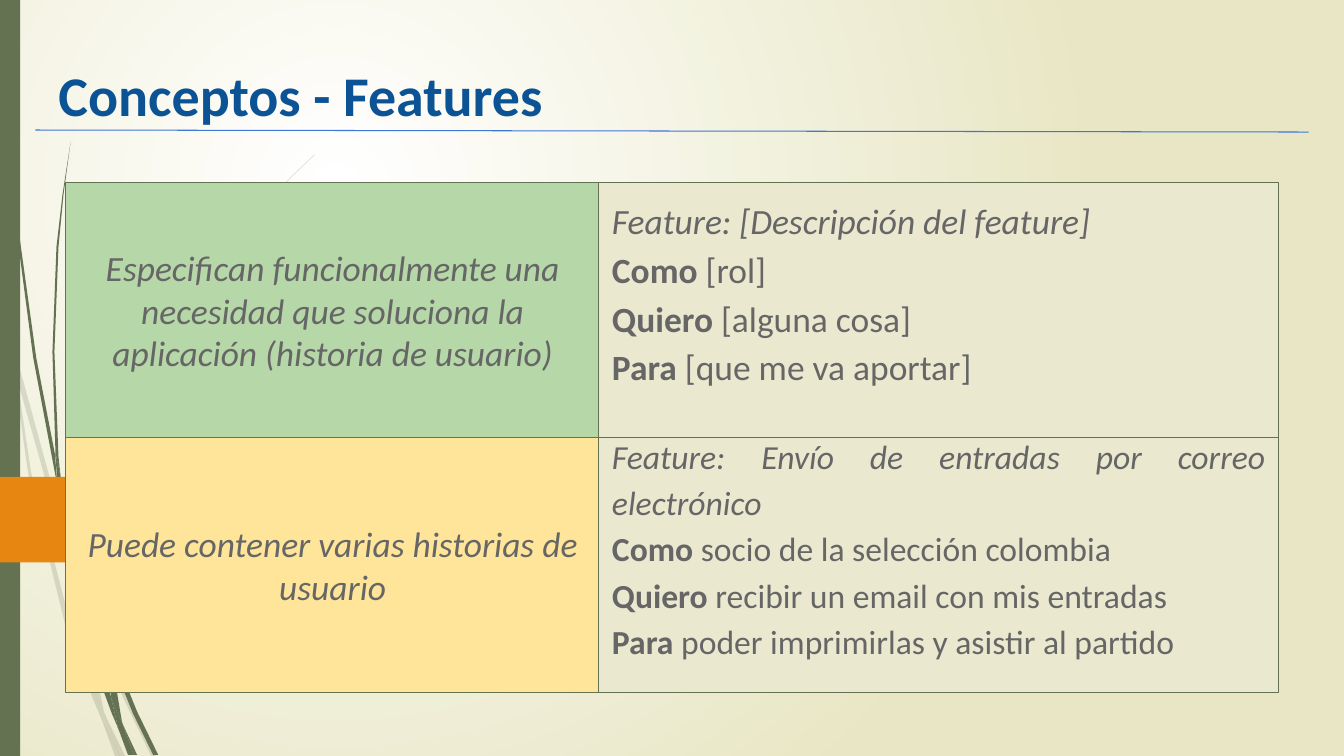
from dataclasses import dataclass

from lxml.etree import SubElement
from pptx import Presentation
from pptx.dml.color import RGBColor
from pptx.enum.shapes import MSO_CONNECTOR as Connector, MSO_SHAPE as Shape
from pptx.enum.text import MSO_ANCHOR as Anchor, MSO_AUTO_SIZE as AutoSize, PP_ALIGN as Align
from pptx.oxml.ns import qn
from pptx.util import Inches, Pt


@dataclass(frozen=True)
class Theme:
    font: str = "Calibri"
    olive: str = "647252"
    orange: str = "E78712"
    white: str = "FFFFFF"
    sand: str = "E8E6C4"
    beige: str = "EAE8CF"
    green: str = "B6D7A8"
    yellow: str = "FFE599"
    navy: str = "0B5394"
    blue: str = "3C78D8"
    gray: str = "666666"
    title_size: float = 40
    concept_size: float = 25.3
    example_size: float = 24
    line_width: float = 0.75


theme = Theme()


def paint(shape, color, line=None):
    shape.shadow.inherit = False
    shape.fill.solid()
    shape.fill.fore_color.rgb = RGBColor.from_string(color)
    if line:
        shape.line.color.rgb = RGBColor.from_string(line)
        shape.line.width = Pt(theme.line_width)
    else:
        shape.line.fill.background()


def set_font(paragraph, size, color):
    paragraph.font.name = theme.font
    paragraph.font.size = Pt(size)
    paragraph.font.color.rgb = RGBColor.from_string(color)


presentation = Presentation()
presentation.slide_width = Inches(13.33)
presentation.slide_height = Inches(7.5)
slide = presentation.slides.add_slide(presentation.slide_layouts[5])
shapes = slide.shapes

background = slide.background.fill
background.gradient()
for stop, position, color in zip(background.gradient_stops, (0, 1), (theme.white, theme.sand)):
    stop.position = position
    stop.color.rgb = RGBColor.from_string(color)
gradient = slide.element.find(".//" + qn("a:gradFill"))
gradient.remove(gradient.find(qn("a:lin")))
circle = SubElement(gradient, qn("a:path"), {"path": "circle"})
SubElement(circle, qn("a:fillToRect"), {"l": "50000", "t": "50000", "r": "100000", "b": "100000"})

faint_wisps = [
    [(0.11, 3.5), (0.09, 3.22), (0, 2.82), (0, 2.99), (0.1, 3.44)],
    [(0.58, 5.22), (0.84, 5.99), (0.85, 5.86), (0.62, 5.2), (0.14, 3.45), (0.17, 3.76)],
    [(0.92, 6.07), (0.88, 5.96), (0.88, 6.1), (1.23, 6.94), (1.5, 7.51), (1.55, 7.51), (1.27, 6.92)],
    [(1.19, 7.51), (1.24, 7.51), (1.05, 7.11)],
    [(0.93, 6.83), (0.7, 6.19), (0.31, 4.69), (0.17, 3.76), (0.11, 3.5), (0.28, 4.7),
     (0.65, 6.21), (0.92, 6.93), (1.01, 7.14), (0.99, 7.07)],
    [(0.84, 5.99), (0.87, 6.46), (0.93, 6.83), (0.96, 6.92), (1.05, 7.11), (1.03, 7.06),
     (0.91, 6.46), (0.88, 6.1), (0.88, 6.08)],
    [(0.88, 5.84), (1.1, 4.62), (1.6, 3.49), (2.29, 2.45), (2.68, 1.98), (2.9, 1.75), (3.12, 1.54),
     (3.12, 1.53), (2.89, 1.75), (2.68, 1.97), (2.28, 2.44), (1.58, 3.48), (1.07, 4.61),
     (0.85, 5.84), (0.85, 5.86), (0.88, 5.96)],
    [(1.01, 7.14), (1.14, 7.51), (1.19, 7.51)],
    [(0.96, 6.92), (0.93, 6.83), (0.99, 7.07), (1.01, 7.14), (1.19, 7.51), (1.05, 7.11)],
]
solid_wisps = [
    [(0.07, 1.1), (0.17, 2.33), (0.33, 3.55), (0.56, 4.77), (0.57, 4.81), (0.55, 4.57), (0.55, 4.53),
     (0.36, 3.55), (0.19, 2.32), (0.08, 1.09), (0.05, 0.48), (0.04, 0), (0.03, 0), (0.04, 0.48)],
    [(1.13, 6.49), (1.1, 6.41), (1.11, 6.56), (1.32, 7.08), (1.52, 7.49), (1.57, 7.49), (1.36, 7.06)],
    [(1.1, 6.91), (0.98, 6.57), (0.72, 5.56), (0.64, 5.05), (0.57, 4.77), (0.68, 5.57),
     (0.93, 6.59), (1.11, 7.08), (1.17, 7.22), (1.16, 7.17)],
    [(0.6, 4.72), (0.58, 4.53), (0.54, 3.49), (0.58, 2.45), (0.63, 1.93), (0.7, 1.41),
     (0.62, 1.93), (0.56, 2.45), (0.52, 3.49), (0.55, 4.49)],
    [(1.33, 7.49), (1.36, 7.49), (1.22, 7.19)],
    [(0.57, 4.77), (0.64, 5.05), (0.6, 4.72), (0.55, 4.49), (0.55, 4.53)],
    [(1.17, 7.22), (1.27, 7.49), (1.31, 7.49)],
    [(1.06, 6.45), (1.1, 6.91), (1.16, 7.06), (1.22, 7.19), (1.21, 7.16), (1.11, 6.56), (1.09, 6.51)],
    [(1.16, 7.06), (1.1, 6.91), (1.16, 7.17), (1.17, 7.22), (1.3, 7.49), (1.33, 7.49), (1.22, 7.19)],
]
for wisps, alpha in ((faint_wisps, 20), (solid_wisps, 100)):
    for points in wisps:
        start, *others = [(Inches(x), Inches(min(y, 7.5))) for x, y in points]
        builder = shapes.build_freeform(*start)
        builder.add_line_segments(others, close=True)
        wisp = builder.convert_to_shape()
        paint(wisp, theme.olive)
        if alpha < 100:
            color = wisp.element.spPr.find(".//" + qn("a:srgbClr"))
            SubElement(color, qn("a:alpha"), {"val": str(alpha * 1000)})

side_bar = shapes.add_shape(Shape.RECTANGLE, 0, 0, Inches(0.2), Inches(7.5))
paint(side_bar, theme.olive)
marker = shapes.add_shape(Shape.PENTAGON, 0, Inches(4.73), Inches(1.91), Inches(0.85))
paint(marker, theme.orange)

title = shapes.title
title.left, title.top, title.width, title.height = map(Inches, (0.45, 0.2, 12.42, 1.2))
frame = title.text_frame
frame.text = "Conceptos - Features"
frame.auto_size = AutoSize.NONE
frame.vertical_anchor = Anchor.BOTTOM
frame.margin_left = frame.margin_right = frame.margin_top = frame.margin_bottom = Inches(0.13)
paragraph = frame.paragraphs[0]
paragraph.alignment = Align.LEFT
paragraph.line_spacing = 1.5
paragraph.font.bold = True
set_font(paragraph, theme.title_size, theme.navy)

columns = [(0.65, 5.3), (5.94, 6.74)]
table_top, row_height = 1.81, 2.53
rows = [
    (theme.green, "Especifican funcionalmente una necesidad que soluciona la aplicación (historia de usuario)",
     theme.concept_size, "Feature: [Descripción del feature]",
     [("Como", " [rol]"), ("Quiero", " [alguna cosa]"), ("Para", " [que me va aportar]")]),
    (theme.yellow, "Puede contener varias historias de usuario",
     theme.example_size, "Feature: Envío de entradas por correo electrónico",
     [("Como", " socio de la selección colombia"), ("Quiero", " recibir un email con mis entradas"),
      ("Para", " poder imprimirlas y asistir al partido")]),
]
for row, (concept_fill, concept, story_size, feature, steps) in enumerate(rows):
    cards = []
    for (left, width), fill in zip(columns, (concept_fill, theme.beige)):
        card = shapes.add_shape(Shape.RECTANGLE, Inches(left), Inches(table_top + row * row_height),
                                Inches(width), Inches(row_height))
        paint(card, fill, theme.olive)
        frame = card.text_frame
        frame.word_wrap = True
        frame.vertical_anchor = Anchor.MIDDLE
        frame.margin_left = frame.margin_right = frame.margin_top = frame.margin_bottom = Inches(0.13)
        cards.append(frame)
    concept_frame, story_frame = cards

    paragraph = concept_frame.paragraphs[0]
    paragraph.text = concept
    paragraph.alignment = Align.CENTER
    paragraph.font.italic = True
    set_font(paragraph, theme.concept_size, theme.gray)

    story_frame.margin_top, story_frame.margin_bottom = 0, Inches(0.39)
    story_frame.text = feature
    story_frame.paragraphs[0].font.italic = True
    for keyword, detail in steps:
        paragraph = story_frame.add_paragraph()
        run = paragraph.add_run()
        run.text = keyword
        run.font.bold = True
        paragraph.add_run().text = detail
    for paragraph in story_frame.paragraphs:
        paragraph.alignment = Align.JUSTIFY
        paragraph.line_spacing = 1.15
        set_font(paragraph, story_size, theme.gray)

rule = shapes.add_connector(Connector.STRAIGHT, Inches(0.35), Inches(1.29), Inches(12.98), Inches(1.31))
rule.line.color.rgb = RGBColor.from_string(theme.blue)
rule.line.width = Pt(theme.line_width)
SubElement(rule.element.spPr, qn("a:effectLst"))

presentation.save("out.pptx")
